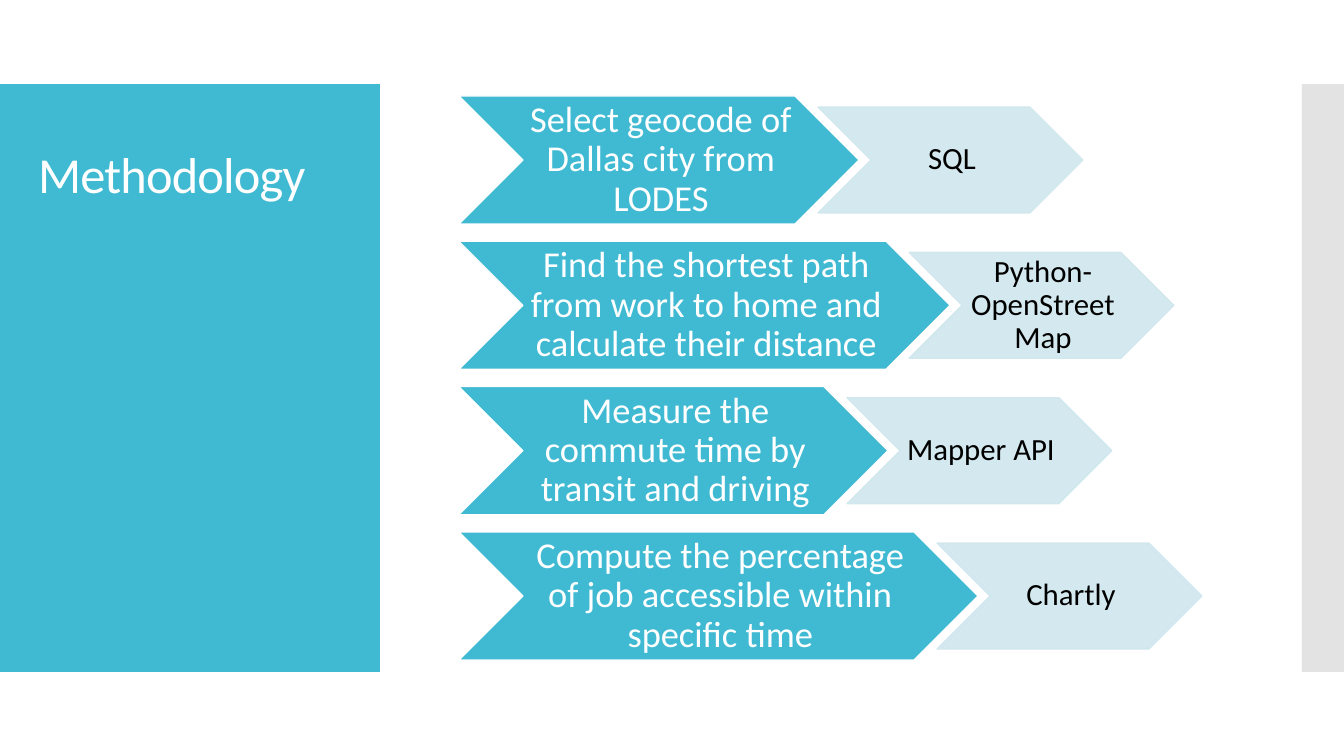
import pptx
import pptx.util
import pptx.dml.color
import pptx.enum.shapes
import pptx.enum.text
import pptx.oxml.ns
from lxml import etree
from dataclasses import dataclass

TITLE = "Methodology"
STEPS = [
    ("Select geocode of Dallas city from LODES", 400, "SQL"),
    ("Find the shortest path from work to home and calculate their distance", 491,
     "Python- OpenStreet Map"),
    ("Measure the commute time by transit and driving", 429, "Mapper API"),
    ("Compute the percentage of job accessible within specific time", 519, "Chartly"),
]
PANEL = (0, 84, 380, 588)
EDGE = (1302, 84, 42, 588)
TITLE_BOX = (28, 95, 324, 164)
STEP_LEFT, FIRST_TOP, LAST_TOP, STEP_H = 459, 96, 532, 128
TOOL_W, TOOL_H, OVERLAP = 265, 106, 41


@dataclass(frozen=True)
class Theme:
    font: str = "Calibri"
    accent: str = "40BAD2"
    pale: str = "CFE7EE"
    grey: str = "C8C8C8"
    white: str = "FFFFFF"
    black: str = "000000"
    title_pt: int = 36
    step_pt: int = 26
    tool_pt: int = 22
    line_pt: float = 0.85


T = Theme()
SHAPE = pptx.enum.shapes.MSO_SHAPE
ALIGN = pptx.enum.text.PP_ALIGN


def px(n):
    return pptx.util.Emu(round(n * 914400 / 100.8))


def paint(fill, color, alpha=100):
    fill.solid()
    fill.fore_color.rgb = pptx.dml.color.RGBColor.from_string(color)
    if alpha < 100:
        clr = fill._xPr.find(".//" + pptx.oxml.ns.qn("a:srgbClr"))
        etree.SubElement(clr, pptx.oxml.ns.qn("a:alpha"), val=str(alpha * 1000))


def add_block(s, kind, box, color, alpha=100, line=None, line_alpha=100):
    sp = s.shapes.add_shape(kind, *map(px, box))
    sp.shadow.inherit = False
    paint(sp.fill, color, alpha)
    if line:
        sp.line.width = pptx.util.Pt(T.line_pt)
        paint(sp.line.fill, line, line_alpha)
    else:
        sp.line.fill.background()
    return sp


def write(sp, text, size, color, align=ALIGN.CENTER, insets=None, spacing=0):
    tf = sp.text_frame
    tf.word_wrap = True
    tf.auto_size = pptx.enum.text.MSO_AUTO_SIZE.NONE
    tf.vertical_anchor = pptx.enum.text.MSO_ANCHOR.MIDDLE
    if insets:
        tf.margin_left, tf.margin_top, tf.margin_right, tf.margin_bottom = map(px, insets)
    p = tf.paragraphs[0]
    p.alignment = align
    p.line_spacing = 0.9
    r = p.add_run()
    r.text = text
    r.font.name = T.font
    r.font.size = pptx.util.Pt(size)
    r.font.color.rgb = pptx.dml.color.RGBColor.from_string(color)
    if spacing:
        r._r.get_or_add_rPr().set("spc", str(spacing))


def add_step(s, top, text, width, tool):
    step = add_block(s, SHAPE.CHEVRON, (STEP_LEFT, top, width, STEP_H), T.accent, line=T.white)
    write(step, text, T.step_pt, T.white, insets=(4, 2, 0, 2))
    box = (STEP_LEFT + width - OVERLAP, top + (STEP_H - TOOL_H) / 2, TOOL_W, TOOL_H)
    sp = add_block(s, SHAPE.CHEVRON, box, T.pale, 90, line=T.pale, line_alpha=90)
    write(sp, tool, T.tool_pt, T.black, insets=(3, 2, 0, 2))


def main():
    prs = pptx.Presentation()
    prs.slide_width, prs.slide_height = px(1344), px(756)
    s = prs.slides.add_slide(prs.slide_layouts[5])
    add_block(s, SHAPE.RECTANGLE, PANEL, T.accent)
    add_block(s, SHAPE.RECTANGLE, EDGE, T.grey, 50)

    title = s.shapes.title
    s.shapes._spTree.append(title._element)
    title.left, title.top, title.width, title.height = map(px, TITLE_BOX)
    write(title, TITLE, T.title_pt, T.white, align=ALIGN.LEFT, spacing=-60)

    pitch = (LAST_TOP - FIRST_TOP) / (len(STEPS) - 1)
    for i, (text, width, tool) in enumerate(STEPS):
        add_step(s, FIRST_TOP + i * pitch, text, width, tool)
    prs.save("out.pptx")


if __name__ == "__main__":
    main()
